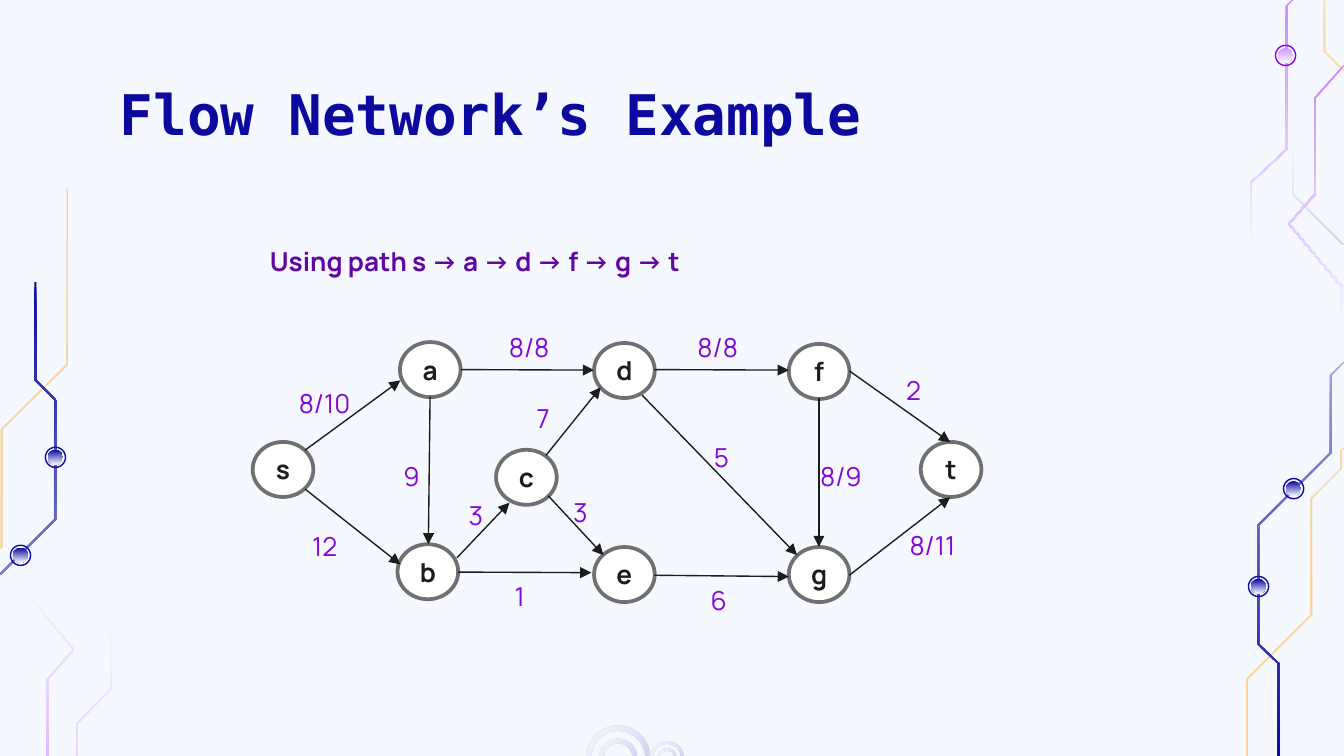
from lxml import etree
from pptx import Presentation
from pptx.dml.color import RGBColor
from pptx.enum import shapes as sh, text as tx
from pptx.oxml.ns import qn
from pptx.util import Pt

PAPER = RGBColor(0xF5, 0xF8, 0xFF)
NAVY = RGBColor(0x0C, 0x0A, 0x9E)
AMBER = RGBColor(0xFF, 0x99, 0x00)
MAUVE = RGBColor(0x99, 0x00, 0xFF)
PURPLE = RGBColor(0x82, 0x08, 0xD5)
PLUM = RGBColor(0x61, 0x06, 0xA0)
WHITE = RGBColor(0xFF, 0xFF, 0xFF)
GREY = RGBColor(0x70, 0x70, 0x70)
INK = RGBColor(0x1D, 0x1D, 0x1D)
WIRE = RGBColor(0x1C, 0x1C, 0x1C)
SANS, MONO = "Manrope", "DejaVu Sans Mono"

TITLE = "Flow Network’s Example"
ROUTE = "Using path s → a → d → f → g → t"
NODE_W, NODE_H = 32.5, 29.5
NODES = {
    "s": (151.6, 251.5), "a": (230.5, 198), "d": (334.5, 198.5),
    "f": (438.8, 199), "t": (509.5, 251.5), "b": (229.2, 306.3),
    "c": (282, 255.7), "e": (334.5, 307.8), "g": (438.8, 307.8),
}
EDGES = [
    ((163.4, 241.2), (214.5, 203.8), "8/10", (173.9, 216)),
    ((163.4, 262), (214.5, 302.4), "12", (174, 293)),
    ((247, 198), (318.2, 198.3), "8/8", (283.5, 186)),
    ((292.5, 244), (321.8, 207.5), "7", (291, 224.5)),
    ((350.6, 198), (422.6, 198.3), "8/8", (384.5, 186.5)),
    ((455, 198.7), (509, 236.9), "2", (489.5, 209.5)),
    ((455, 308.2), (509, 266.4), "8/11", (499.5, 292.5)),
    ((245.5, 306.5), (316.8, 306.8), "1", (278.5, 319.5)),
    ((350.6, 308.2), (422.6, 308.9), "6", (385, 322)),
    ((344, 211.7), (427, 297.4), "5", (386.5, 245)),
    ((230.4, 212.5), (229.5, 291.6), "9", (220.5, 255.5)),
    ((438.7, 213.2), (438.7, 293), "8/9", (450.5, 255.5)),
    ((293.8, 265.7), (323.3, 297.4), "3", (311, 274.5)),
    ((244.8, 298.8), (272.9, 269.3), "3", (255, 276.5)),
]
TRACKS = [
    (AMBER, .4, .35, [(36.3, 101), (36.3, 195), (1, 230), (1, 292.5), (0, 294)]),
    (NAVY, 1, .5, [(19, 151), (19, 203.5), (30, 214.5), (30, 278), (0, 308)]),
    (MAUVE, 0, .15, [(59.5, 335), (59.5, 369), (41, 388), (41, 405)]),
    (MAUVE, 0, .25, [(11, 314), (39.5, 348), (25.5, 364), (25.5, 405)]),
    (AMBER, .35, .4, [(720, 240), (718.5, 241), (718.5, 251), (702.5, 267),
                      (702.5, 329.5), (668, 364), (668, 405)]),
    (AMBER, .25, .3, [(709.5, 0), (709.5, 27.5), (720, 38)]),
    (NAVY, .36, 1, [(720, 194), (713, 201), (713, 242.5), (674, 281.5),
                    (674, 345), (685, 355.5), (685, 405)]),
    (NAVY, 0, .15, [(692.5, 76), (692.5, 104), (720, 131.5)]),
    (MAUVE, .45, 0, [(692.5, 0), (689.3, 3), (689.3, 80), (670, 98), (670, 132)]),
    (MAUVE, .45, 0, [(720, 35), (704.5, 52.5), (704.5, 104), (690.5, 120),
                     (718.7, 153.5), (718.7, 170)]),
]
DOTS = [(29.7, 245, NAVY, 1, NAVY), (11, 297.5, NAVY, 1, NAVY),
        (674.2, 314.2, NAVY, 1, NAVY), (693, 261.8, NAVY, 1, NAVY),
        (688.7, 29.7, PURPLE, .4, MAUVE)]
RINGS = [(331.2, 406, 34.5, .08), (331.2, 406, 20.5, .12),
         (357.3, 406, 18, .08), (357.3, 406, 10.5, .13)]


def mix(tint, part):
    return RGBColor(*(round(p + (t - p) * part) for t, p in zip(tint, PAPER)))


def fade(shape, tint, first, last, angle=270):
    shape.shadow.inherit = False
    shape.line.fill.background()
    shape.fill.gradient()
    shape.fill.gradient_angle = angle
    for stop, part in zip(shape.fill.gradient_stops, (first, last)):
        stop.color.rgb = mix(tint, part)


def place(kind, mid, wide, high):
    x, y = mid
    return slide.shapes.add_shape(kind, Pt(x - wide / 2), Pt(y - high / 2), Pt(wide), Pt(high))


def style(frame, words, size, tint, font=SANS, bold=False, align=tx.PP_ALIGN.CENTER):
    frame.text = words
    line = frame.paragraphs[0]
    line.alignment = align
    face = line.runs[0].font
    face.name, face.size, face.bold = font, Pt(size), bold
    face.color.rgb = tint
    return line


def track(tint, first, last, points):
    rim = [(x - .5, y) for x, y in points] + [(x + .5, y) for x, y in reversed(points)]
    rim = [(Pt(x), Pt(y)) for x, y in rim]
    path = slide.shapes.build_freeform(*rim[0])
    path.add_line_segments(rim[1:], close=True)
    fade(path.convert_to_shape(), tint, first, last)


def dot(x, y, edge, part, tint):
    ring = place(sh.MSO_SHAPE.OVAL, (x, y), 10.8, 10.8)
    ring.shadow.inherit = False
    ring.fill.background()
    ring.line.color.rgb = edge
    ring.line.width = Pt(.75)
    fade(place(sh.MSO_SHAPE.OVAL, (x, y), 8, 8), tint, part, 0)


def node(name, mid):
    oval = place(sh.MSO_SHAPE.OVAL, mid, NODE_W, NODE_H)
    oval.shadow.inherit = False
    oval.fill.solid()
    oval.fill.fore_color.rgb = WHITE
    oval.line.color.rgb = GREY
    oval.line.width = Pt(2)
    frame = oval.text_frame
    frame.word_wrap = False
    frame.vertical_anchor = tx.MSO_ANCHOR.MIDDLE
    style(frame, name, 14, INK, bold=True)


def arrow(start, end):
    line = slide.shapes.add_connector(
        sh.MSO_CONNECTOR.STRAIGHT, *(Pt(v) for v in start + end))
    line.line.color.rgb = WIRE
    line.line.width = Pt(.75)
    etree.SubElement(line.line._get_or_add_ln(), qn("a:tailEnd"), type="triangle")
    etree.SubElement(line._element.spPr, qn("a:effectLst"))


def label(words, mid):
    wide, high = 33 if len(words) < 3 else 48, 24.5
    x, y = mid
    box = slide.shapes.add_textbox(Pt(x - wide / 2), Pt(y - high / 2), Pt(wide), Pt(high))
    box.text_frame.word_wrap = False
    style(box.text_frame, words, 14, PURPLE)


deck = Presentation()
deck.slide_width, deck.slide_height = Pt(720), Pt(405)
slide = deck.slides.add_slide(deck.slide_layouts[5])
slide.background.fill.solid()
slide.background.fill.fore_color.rgb = PAPER

for item in TRACKS:
    track(*item)
for item in DOTS:
    dot(*item)
for x, y, size, band in RINGS:
    ring = place(sh.MSO_SHAPE.DONUT, (x, y), size, size)
    ring.adjustments[0] = band
    fade(ring, NAVY, .2, 0, 135)

head = slide.shapes.title
head.left, head.top, head.width, head.height = Pt(57), Pt(35.5), Pt(607), Pt(45)
frame = head.text_frame
frame.margin_left = frame.margin_right = frame.margin_top = frame.margin_bottom = Pt(7.2)
frame.vertical_anchor = tx.MSO_ANCHOR.TOP
frame.auto_size = tx.MSO_AUTO_SIZE.NONE
style(frame, TITLE, 30, NAVY, MONO, True, tx.PP_ALIGN.LEFT)

for name, mid in NODES.items():
    node(name, mid)
for start, end, words, mid in EDGES:
    arrow(start, end)
    label(words, mid)

note = slide.shapes.add_textbox(Pt(137.5), Pt(126.5), Pt(409), Pt(24.5))
note.text_frame.word_wrap = True
line = style(note.text_frame, ROUTE, 14, PLUM, bold=True, align=tx.PP_ALIGN.LEFT)
line.line_spacing, line.space_after = 1.07, Pt(8)

deck.save("out.pptx")
